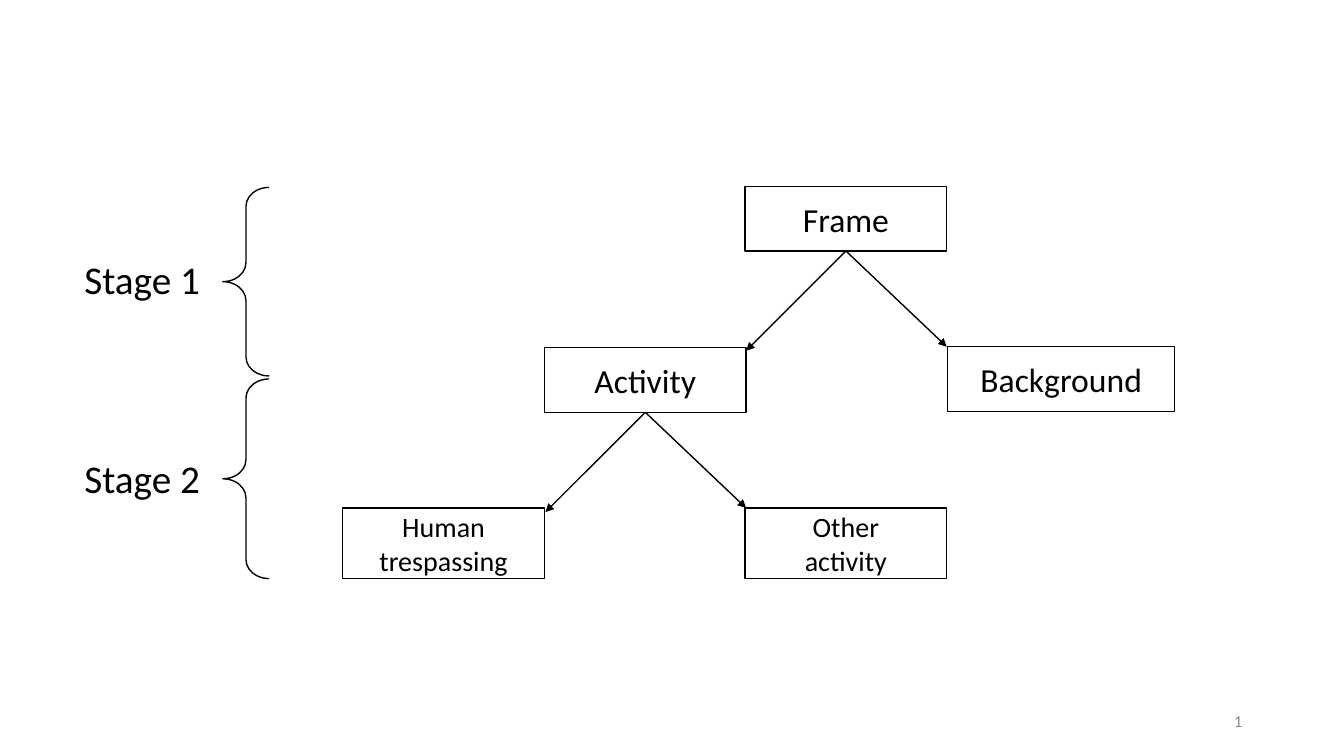
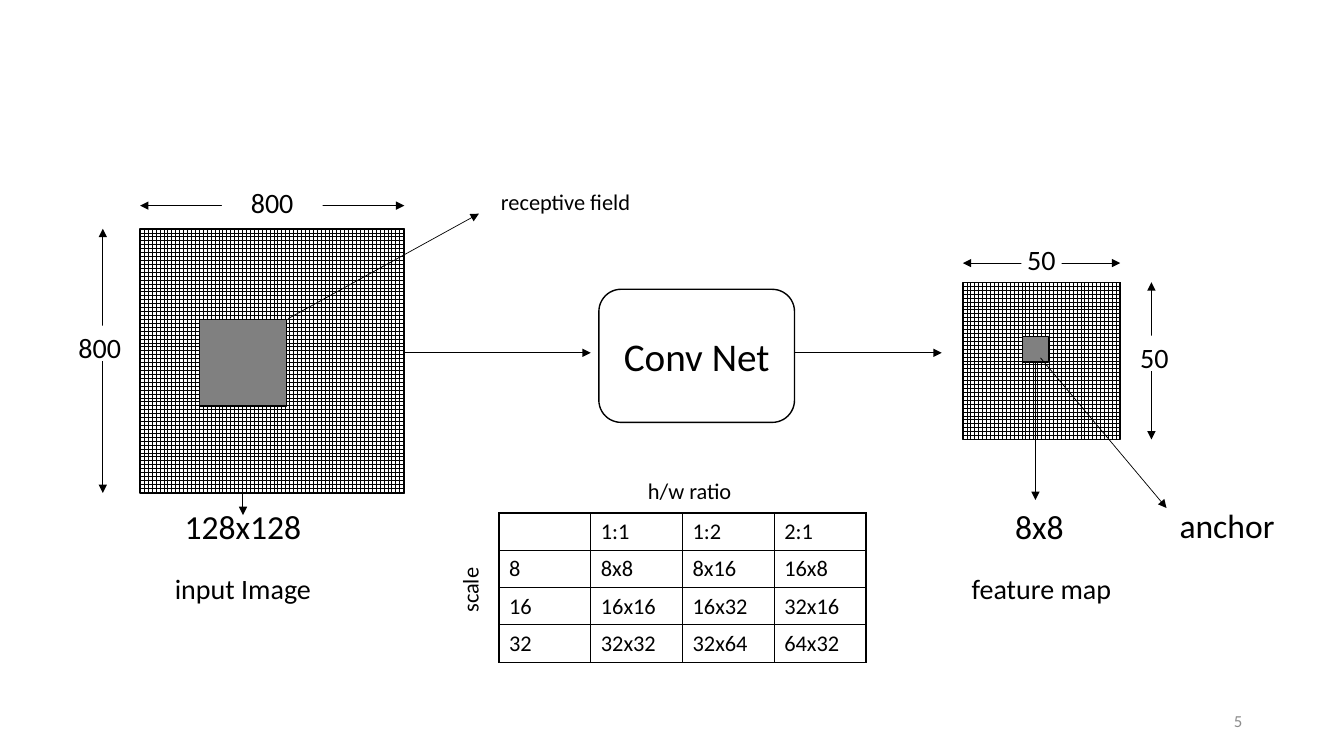
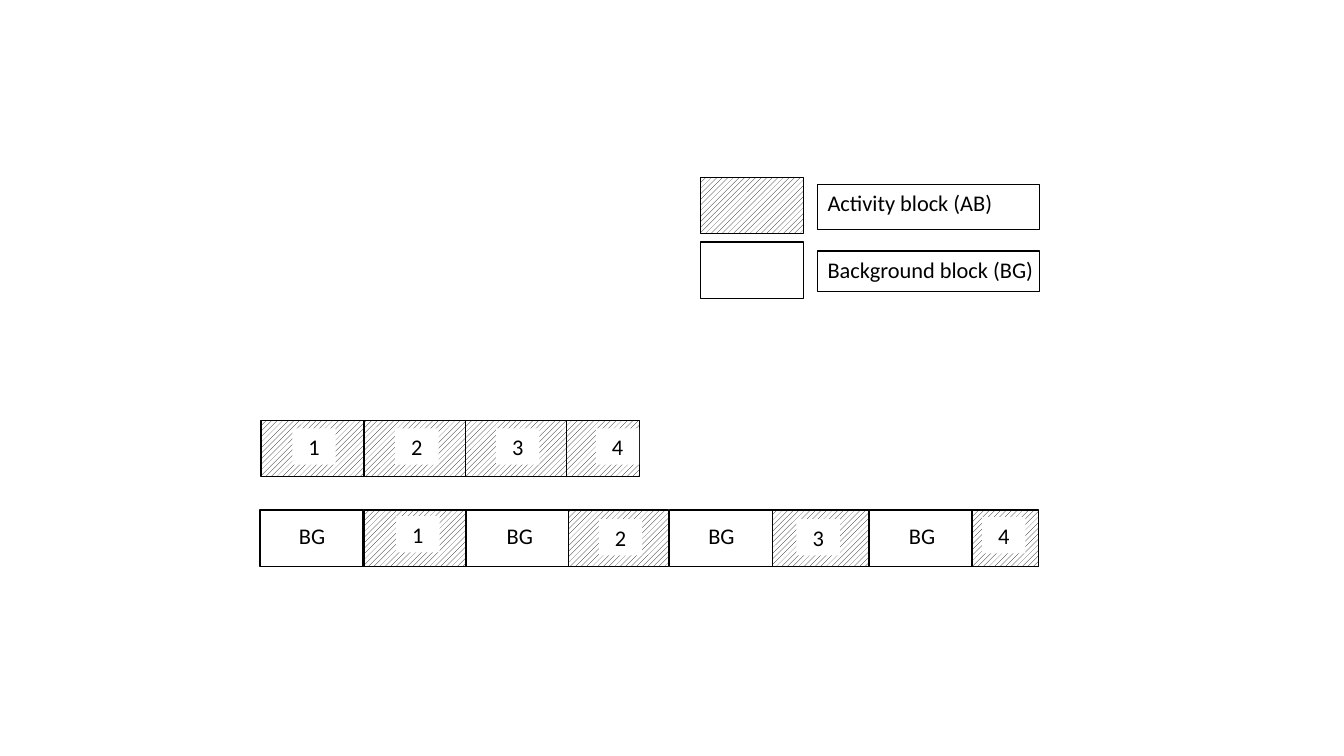
import dataclasses

import lxml.etree
import pptx
import pptx.dml.color
import pptx.enum.dml
import pptx.enum.shapes
import pptx.enum.text
import pptx.oxml.ns
import pptx.util

Inches = pptx.util.Inches
Pt = pptx.util.Pt
RGB = pptx.dml.color.RGBColor
SHAPE = pptx.enum.shapes.MSO_SHAPE
ALIGN = pptx.enum.text.PP_ALIGN
ANCHOR = pptx.enum.text.MSO_ANCHOR
PATTERN = pptx.enum.dml.MSO_PATTERN
qn = pptx.oxml.ns.qn


@dataclasses.dataclass(frozen=True)
class Theme:
    font: str = "Calibri"
    ink: RGB = RGB(0, 0, 0)
    paper: RGB = RGB(255, 255, 255)
    field: RGB = RGB(0x80, 0x80, 0x80)
    muted: RGB = RGB(0x8C, 0x8C, 0x8C)
    stage: int = 28
    node: int = 24
    leaf: int = 20
    small: int = 16
    footer: int = 12
    outline: float = 1
    drop: float = 0.75
    thin: float = 0.5


T = Theme()


def write(tf, text, size=T.small, color=T.ink, align=ALIGN.CENTER,
          anchor=ANCHOR.TOP, wrap=False):
    tf.word_wrap = wrap
    tf.vertical_anchor = anchor
    for i, line in enumerate(text.split("\n")):
        p = tf.paragraphs[0] if i == 0 else tf.add_paragraph()
        p.alignment = align
        if not line:
            lxml.etree.SubElement(p._p, qn("a:endParaRPr"), sz=str(size * 100))
            continue
        r = p.add_run()
        r.text = line
        r.font.name = T.font
        r.font.size = Pt(size)
        r.font.color.rgb = color


def add_box(slide, x, y, w, h, text="", kind=SHAPE.RECTANGLE, fill=T.paper,
            pattern=None, outlined=True, **fmt):
    sp = slide.shapes.add_shape(kind, Inches(x), Inches(y), Inches(w), Inches(h))
    sp.shadow.inherit = False
    if pattern is None:
        sp.fill.solid()
        sp.fill.fore_color.rgb = fill
    else:
        sp.fill.patterned()
        sp.fill.pattern = pattern
        sp.fill.fore_color.rgb = T.ink
        sp.fill.back_color.rgb = T.paper
    if outlined:
        sp.line.color.rgb = T.ink
        sp.line.width = Pt(T.outline)
    else:
        sp.line.fill.background()
    if text:
        write(sp.text_frame, text, **fmt)
    return sp


def add_label(slide, x, y, w, h, text, **fmt):
    return add_box(slide, x, y, w, h, text, outlined=False, **fmt)


def add_caption(slide, x, y, w, h, text, rotation=0, **fmt):
    sp = slide.shapes.add_textbox(Inches(x), Inches(y), Inches(w), Inches(h))
    sp.rotation = rotation
    write(sp.text_frame, text, **fmt)


def add_line(slide, start, end, width=T.outline, head=False, tail=False,
             begin=None):
    cx = slide.shapes.add_connector(
        pptx.enum.shapes.MSO_CONNECTOR.STRAIGHT,
        *(Inches(v) for v in (*start, *end)))
    if begin:
        cx.begin_connect(*begin)
    cx.line.color.rgb = T.ink
    cx.line.width = Pt(width)
    ln = cx.line._get_or_add_ln()
    for tag, shown in (("a:headEnd", head), ("a:tailEnd", tail)):
        if shown:
            lxml.etree.SubElement(ln, qn(tag), type="triangle")
    lxml.etree.SubElement(ln.getparent(), qn("a:effectLst"))


def add_dimension(slide, start, end, text, label_at):
    add_line(slide, start, end, T.thin, head=True, tail=True)
    add_label(slide, *label_at, 0.35, text, size=T.leaf)


def add_grid_table(slide, x, y, col_w, row_h, rows):
    shape = slide.shapes.add_table(
        len(rows), len(rows[0]), Inches(x), Inches(y),
        Inches(col_w * len(rows[0])), Inches(row_h * len(rows)))
    table = shape.table
    table.first_row = table.horz_banding = False
    for col in table.columns:
        col.width = Inches(col_w)
    for row, values in zip(table.rows, rows):
        row.height = Inches(row_h)
        for cell, value in zip(row.cells, values):
            write(cell.text_frame, value, align=ALIGN.LEFT, wrap=True)
            tc_pr = cell._tc.get_or_add_tcPr()
            for side in "LRTB":
                ln = lxml.etree.SubElement(tc_pr, qn("a:ln" + side),
                                           w=str(Pt(T.outline)))
                solid = lxml.etree.SubElement(ln, qn("a:solidFill"))
                lxml.etree.SubElement(solid, qn("a:srgbClr"), val=str(T.ink))
            cell.fill.background()


def add_page_number(slide, number):
    add_caption(slide, 9.42, 6.95, 3, 0.4, number, size=T.footer, color=T.muted,
                align=ALIGN.RIGHT, anchor=ANCHOR.MIDDLE, wrap=True)


def new_slide(prs):
    return prs.slides.add_slide(prs.slide_layouts[6])


def build_stages(prs):
    s = new_slide(prs)
    add_page_number(s, "1")
    nodes = {}
    for text, x, y, w, h, size in (
            ("Frame", 7.39, 1.85, 2, 0.64, T.node),
            ("Activity", 5.4, 3.45, 2, 0.64, T.node),
            ("Background", 9.4, 3.44, 2.25, 0.64, T.node),
            ("Other\nactivity", 7.39, 5.04, 2, 0.7, T.leaf),
            ("Human\ntrespassing", 3.4, 5.04, 2, 0.7, T.leaf)):
        nodes[text] = add_box(s, x, y, w, h, text, size=size, anchor=ANCHOR.MIDDLE)
    for parent, x, y in (("Frame", 8.39, 2.49), ("Activity", 6.4, 4.09)):
        for end in ((x - 0.99, y + 0.99), (x + 1, y + 0.95)):
            add_line(s, (x, y), end, tail=True, begin=(nodes[parent], 2))
    for text, y, h, label_y in (("Stage 1", 1.86, 1.87, 2.48),
                                ("Stage 2", 3.76, 1.98, 4.46)):
        brace = add_box(s, 2.21, y, 0.46, h, kind=SHAPE.LEFT_BRACE)
        brace.adjustments[0] = 0.41
        add_label(s, 0.63, label_y, 1.56, 0.61, text, size=T.stage)


def build_anchors(prs):
    s = new_slide(prs)
    add_page_number(s, "5")
    add_box(s, 1.39, 2.27, 2.62, 2.62, pattern=PATTERN.LARGE_GRID)
    add_box(s, 5.94, 2.87, 1.94, 1.32, "Conv Net", size=T.stage,
            kind=SHAPE.ROUNDED_RECTANGLE, anchor=ANCHOR.MIDDLE)
    flow_y = 3.5
    for x_from, x_to in ((4.01, 5.86), (7.89, 9.34)):
        add_line(s, (x_from, flow_y), (x_to, flow_y), T.thin, tail=True)
    add_dimension(s, (1.39, 2.04), (4.01, 2.04), "800", (2.2, 1.79, 1))
    add_dimension(s, (1.02, 2.27), (1.02, 4.89), "800", (0.68, 3.23, 0.62))
    add_box(s, 9.55, 2.8, 1.56, 1.56, pattern=PATTERN.LARGE_GRID)
    add_dimension(s, (9.55, 2.61), (11.11, 2.61), "50", (10.13, 2.36, 0.4))
    add_dimension(s, (11.42, 2.8), (11.42, 4.36), "50", (11.14, 3.33, 0.62))
    cell = add_box(s, 10.14, 3.34, 0.26, 0.25, fill=T.field)
    patch = add_box(s, 1.98, 3.17, 0.86, 0.86, fill=T.field)
    add_line(s, (10.27, 3.59), (10.27, 4.96), T.drop, tail=True, begin=(cell, 2))
    add_line(s, (2.41, 4.03), (2.41, 5.11), T.drop, tail=True, begin=(patch, 2))
    add_grid_table(s, 4.95, 5.09, 0.91, 0.37, (
        ("", "1:1", "1:2", "2:1"),
        ("8", "8x8", "8x16", "16x8"),
        ("16", "16x16", "16x32", "32x16"),
        ("32", "32x32", "32x64", "64x32")))
    add_line(s, (10.32, 3.55), (11.57, 5.04), T.thin, tail=True)
    add_line(s, (2.86, 3.16), (4.75, 2.12), T.thin, tail=True)
    caption_w = 1.6
    for text, center, y, h, size, rotation in (
            ("8x8", 10.31, 4.97, 0.54, T.node, 0),
            ("128x128", 2.41, 4.97, 0.54, T.node, 0),
            ("scale", 4.67, 5.66, 0.39, T.small, 270),
            ("h/w ratio", 6.84, 4.68, 0.29, T.small, 0),
            ("anchor", 12.17, 4.96, 0.56, T.node, 0),
            ("receptive field", 5.61, 1.82, 1, T.small, 0),
            ("input Image", 2.41, 5.62, 0.39, T.leaf, 0),
            ("feature map", 10.33, 5.62, 0.39, T.leaf, 0)):
        add_caption(s, center - caption_w / 2, y, caption_w, h, text, rotation,
                    size=size)


def build_blocks(prs):
    s = new_slide(prs)
    hatch = PATTERN.WIDE_UPWARD_DIAGONAL
    block_w, block_h = 1.02, 0.56

    strip_y = 4.17
    strip_lefts = (2.59, 3.61, 4.62, 5.62)
    add_box(s, strip_lefts[0], strip_y, 3.75, block_h, pattern=hatch)
    for x in strip_lefts[1:]:
        add_line(s, (x, strip_y), (x, strip_y + block_h))
    for i, x in enumerate((2.9, 3.92, 4.92, 5.91), 1):
        add_label(s, x, strip_y + 0.08, 0.43, 0.36, str(i))

    row_y = 5.06
    activities = ((3.61, block_w, 3.93, 5.12), (5.61, block_w, 5.94, 5.15),
                  (7.6, block_w, 7.9, 5.15), (9.6, 0.7, 9.74, 5.13))
    for i, (x, w, label_x, label_y) in enumerate(activities, 1):
        add_box(s, x, row_y, w, block_h, pattern=hatch)
        add_label(s, label_x, label_y, 0.43, 0.36, str(i))
    for x, label_x in ((2.58, 2.87), (4.62, 4.93), (6.64, 6.93), (8.62, 8.92)):
        add_box(s, x, row_y, block_w, block_h)
        add_label(s, label_x, row_y + 0.07, 0.45, 0.38, "BG")

    for text, y, pattern, label_y, label_h in (
            ("Activity block (AB)", 1.76, hatch, 1.83, 0.45),
            ("Background block (BG)", 2.4, None, 2.49, 0.4)):
        add_box(s, 6.95, y, block_w, block_h, pattern=pattern)
        add_box(s, 8.11, label_y, 2.2, label_h, text, align=ALIGN.LEFT)


def main():
    prs = pptx.Presentation()
    prs.slide_width = Inches(13.33)
    prs.slide_height = Inches(7.5)
    build_stages(prs)
    build_anchors(prs)
    build_blocks(prs)
    prs.save("out.pptx")


if __name__ == "__main__":
    main()
